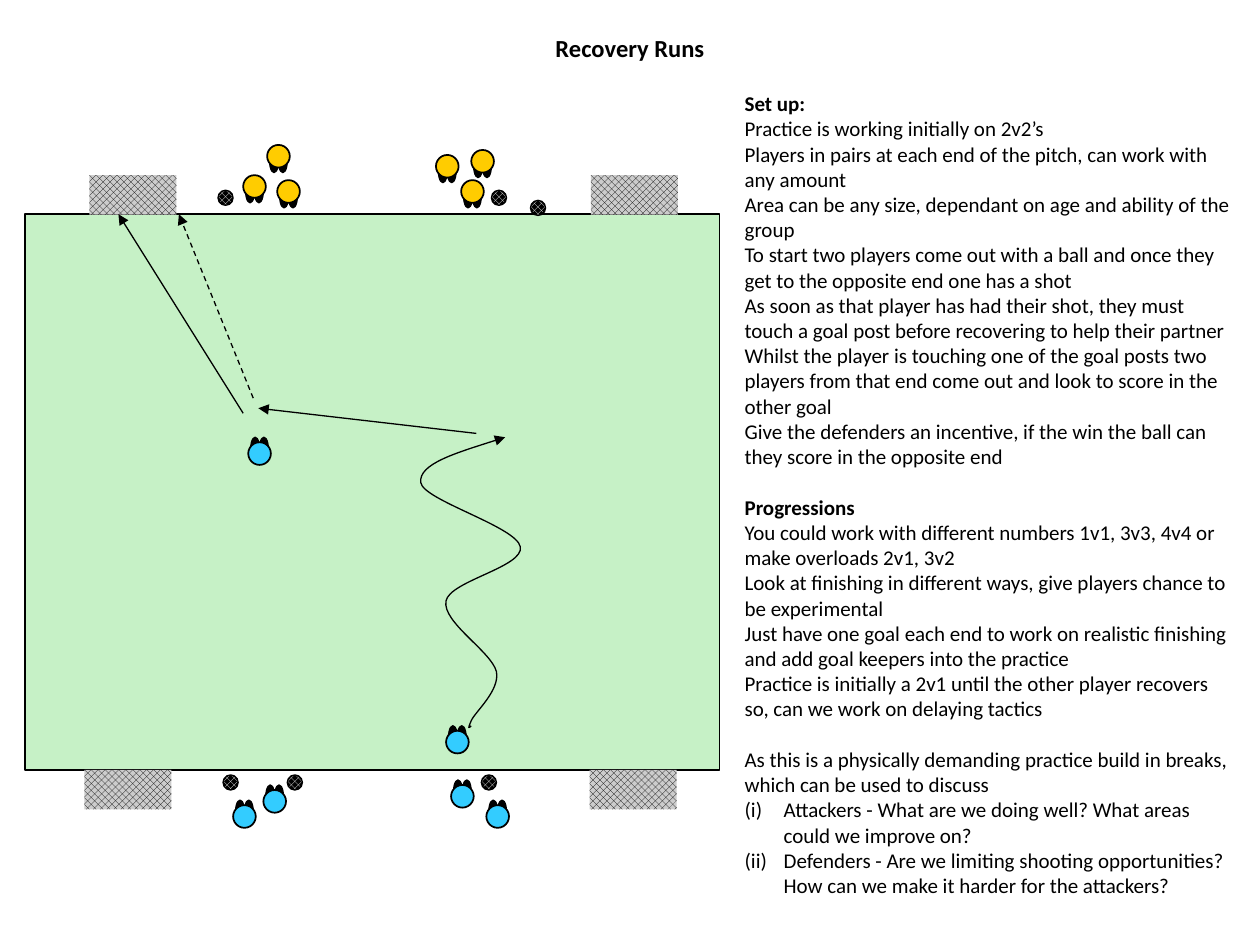
from lxml import etree
from pptx import Presentation
from pptx import util as u
from pptx.dml.color import RGBColor
from pptx.enum import dml, shapes, text
from pptx.oxml.ns import qn

color = RGBColor.from_string

deck = Presentation()
deck.slide_width, deck.slide_height = u.Inches(10), u.Inches(7.5)
page = deck.slides.add_slide(deck.slide_layouts[6])
CELL = deck.slide_width / 100  # square grid: 100 columns by 75 rows

RECT, OVAL = shapes.MSO_SHAPE.RECTANGLE, shapes.MSO_SHAPE.OVAL
NET = (dml.MSO_PATTERN.OUTLINED_DIAMOND, "000000", "CCCCCC")
LEATHER = (dml.MSO_PATTERN.SOLID_DIAMOND, "FFFFFF", "000000")
YELLOW, BLUE, BLACK = "FFCC00", "33CCFF", "000000"


def cells(*counts):
    return [round(count * CELL) for count in counts]


def place(parent, kind, area, fill, weight):
    """Add a shape; fill is a hex colour or (pattern, front, back)."""
    shape = parent.add_shape(kind, *cells(*area))
    shape.shadow.inherit = False
    if isinstance(fill, tuple):
        shape.fill.patterned()
        shape.fill.pattern = fill[0]
        shape.fill.fore_color.rgb = color(fill[1])
        shape.fill.back_color.rgb = color(fill[2])
    else:
        shape.fill.solid()
        shape.fill.fore_color.rgb = color(fill)
    if weight:
        shape.line.color.rgb = color(BLACK)
        shape.line.width = u.Pt(weight)
    else:
        shape.line.fill.background()


# Pitch and goals
place(page.shapes, RECT, (2, 17, 55.1, 44.1), "C6F1C6", 1)
for left, top in [(7.1, 13.9), (46.9, 13.9), (6.7, 61.1), (46.8, 61.1)]:
    place(page.shapes, RECT, (left, top, 6.9, 3.15), NET, 0)

# Players: two feet pointing towards the pitch, then the head
players = {
    (YELLOW, 0.4): [(19.3, 13.9), (22, 14.3), (37.4, 11.9), (34.6, 12.3),
                    (21.2, 11.5), (36.6, 14.3)],
    (BLUE, -0.4): [(19.7, 35.1), (20.9, 62.7), (18.5, 63.9), (38.6, 63.9),
                   (35.8, 62.3), (35.4, 58)],
}
for (shirt, reach), spots in players.items():
    for left, top in spots:
        player = page.shapes.add_group_shape().shapes
        for shift in (0.2, 0.9):
            place(player, OVAL, (left + shift, top + reach, 0.7, 1.8), BLACK, 0.75)
        place(player, OVAL, (left, top, 1.8, 1.8), shirt, 1)

# Balls
for left, top in [(39, 15.1), (17.3, 15.1), (42.1, 15.9),
                  (22.8, 61.5), (17.7, 61.5), (38.2, 61.5)]:
    place(page.shapes, OVAL, (left, top, 1.2, 1.2), LEATHER, 0.75)

# Dribble: start, then two control points and an end for each curve
dribble = [(37.4, 57.6),
           (37.2, 57.8), (37.1, 57.9), (37.4, 57.2),
           (37.7, 56.5), (39.7, 54.8), (39.4, 53.3),
           (39, 51.7), (35.1, 49.4), (35.4, 47.7),
           (35.7, 46.1), (41.6, 45), (41.3, 43.4),
           (41, 41.8), (33.6, 39.7), (33.4, 38.3),
           (33.2, 36.8), (36.7, 35.8), (40.1, 34.7)]
points = [cells(*point) for point in dribble]
builder = page.shapes.build_freeform(*points[0])
builder.add_line_segments(points[1:], close=False)
run_path = builder.convert_to_shape()
run_path.fill.background()
run_path.shadow.inherit = False
segments = list(run_path._element.iter(qn("a:lnTo")))
for first in range(0, len(segments), 3):
    curve = etree.Element(qn("a:cubicBezTo"))
    segments[first].addprevious(curve)
    for segment in segments[first:first + 3]:
        curve.append(segment[0])
        segment.getparent().remove(segment)

# Pass, shot and recovery run
arrows = [run_path]
for ends in [(37.8, 34.4, 20.5, 32.4), (19.3, 32.8, 9.4, 17), (20.1, 31.6, 14.2, 17)]:
    arrow = page.shapes.add_connector(shapes.MSO_CONNECTOR.STRAIGHT, *cells(*ends))
    arrows.append(arrow)
arrows[-1].line.dash_style = dml.MSO_LINE.DASH
for arrow in arrows:
    arrow.line.color.rgb = color(BLACK)
    arrow.line.width = u.Pt(0.75)
    etree.SubElement(arrow.line._get_or_add_ln(), qn("a:tailEnd"), type="triangle")
    if arrow is not run_path:
        etree.SubElement(arrow._element.spPr, qn("a:effectLst"))

# Title
title = page.shapes.add_textbox(*cells(7.5, 2.1, 85, 4.8)).text_frame
title.word_wrap = True
para = title.paragraphs[0]
para.text = "Recovery Runs"
para.alignment = text.PP_ALIGN.CENTER
para.font.name, para.font.size, para.font.bold = "Calibri", u.Pt(14), True
para.font.color.rgb = color(BLACK)

# Notes on the practice: (style, wording)
notes = [
    ("heading", "Set up:"),
    ("plain", "Practice is working initially on 2v2’s"),
    ("plain", "Players in pairs at each end of the pitch, can work with any amount"),
    ("plain", "Area can be any size, dependant on age and ability of the group"),
    ("plain", "To start two players come out with a ball and once they get to the "
              "opposite end one has a shot"),
    ("plain", "As soon as that player has had their shot, they must touch a goal post "
              "before recovering to help their partner"),
    ("plain", "Whilst the player is touching one of the goal posts two players from "
              "that end come out and look to score in the other goal"),
    ("plain", "Give the defenders an incentive, if the win the ball can they score in "
              "the opposite end"),
    ("heading", "Progressions"),
    ("plain", "You could work with different numbers 1v1, 3v3, 4v4 or make overloads "
              "2v1, 3v2"),
    ("plain", "Look at finishing in different ways, give players chance to be "
              "experimental"),
    ("plain", "Just have one goal each end to work on realistic finishing and add goal "
              "keepers into the practice"),
    ("plain", "Practice is initially a 2v1 until the other player recovers so, can we "
              "work on delaying tactics"),
    ("closing", "As this is a physically demanding practice build in breaks, which can "
                "be used to discuss"),
    ("numbered", "Attackers - What are we doing well? What areas could we improve on?"),
    ("numbered", "Defenders - Are we limiting shooting opportunities?\v"
                 "How can we make it harder for the attackers?"),
]
box = page.shapes.add_textbox(*cells(58.7, 6.8, 39.4, 64.6)).text_frame
box.word_wrap = True
box.margin_left = box.margin_right = box.margin_top = box.margin_bottom = u.Inches(0.04)
for index, (style, wording) in enumerate(notes):
    para = box.add_paragraph() if index else box.paragraphs[0]
    para.text = wording
    if style == "numbered":
        props = para._p.get_or_add_pPr()
        props.set("marL", str(u.Inches(0.31)))
        props.set("indent", str(-u.Inches(0.31)))
        etree.SubElement(props, qn("a:buAutoNum"), type="romanLcParenBoth")
    if index and style in ("heading", "closing"):
        para.space_before = u.Pt(14.6)
    para.font.name, para.font.size = "Calibri", u.Pt(12)
    para.font.bold = style == "heading"
    para.font.color.rgb = color(BLACK)

deck.save("out.pptx")
